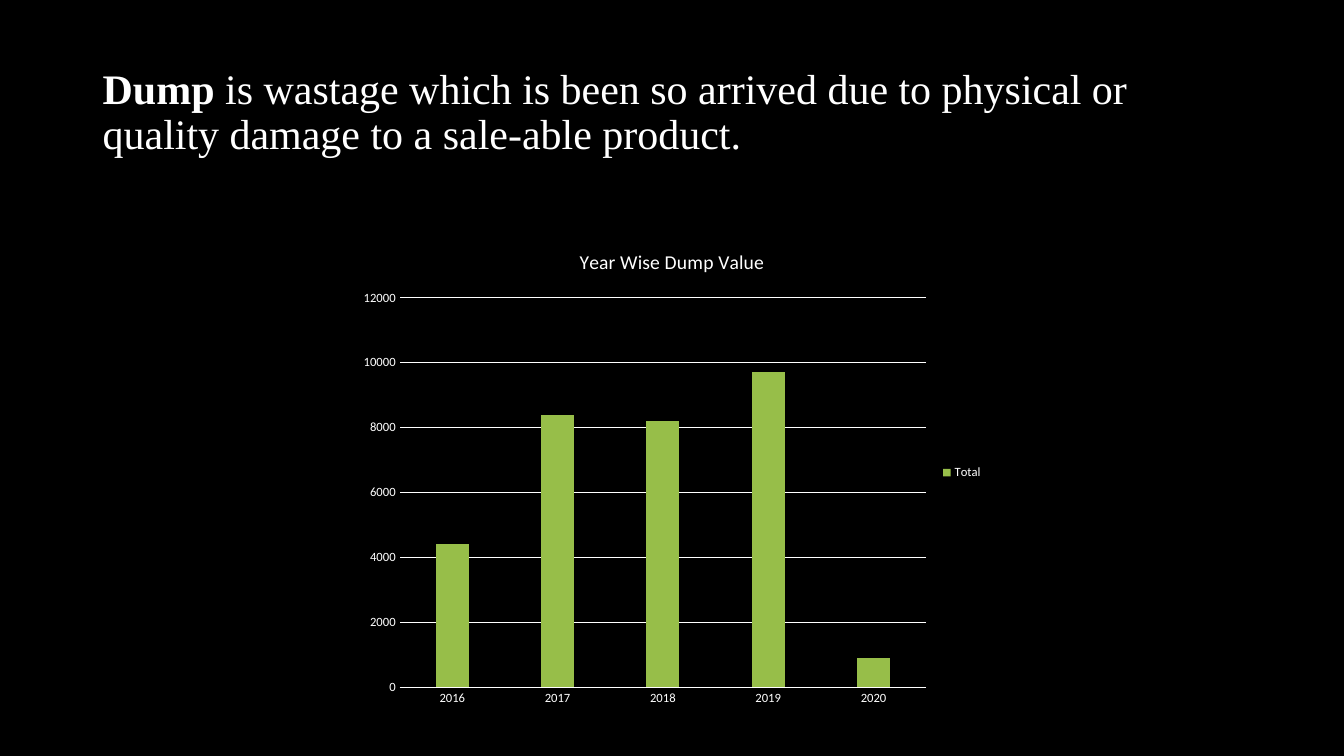
"""Build a slide that defines dump and charts its value by year."""
from pptx import Presentation
from pptx.chart.data import CategoryChartData
from pptx.dml.color import RGBColor
from pptx.enum.chart import XL_CHART_TYPE, XL_LEGEND_POSITION, XL_TICK_MARK
from pptx.enum.text import MSO_ANCHOR
from pptx.util import Inches, Pt

HEADLINE = [
    ("Dump", True),
    (" is wastage which is been so arrived due to physical or quality damage to a sale-able product.", False),
]
CHART_TITLE = "Year Wise Dump Value"
SERIES_NAME = "Total"
DUMP_BY_YEAR = {"2016": 4400, "2017": 8400, "2018": 8200, "2019": 9700, "2020": 900}

HEADLINE_BOX = (0.92, 0.4, 11.5, 1.45)
CHART_BOX = (3.48, 2.28, 6.37, 4.82)

BLACK = RGBColor(0x00, 0x00, 0x00)
WHITE = RGBColor(0xFF, 0xFF, 0xFF)
GREEN = RGBColor(0x97, 0xBE, 0x49)


def style_font(font, size, name="Calibri", bold=False):
    font.size = Pt(size)
    font.name = name
    font.bold = bold
    font.color.rgb = WHITE


def add_span(para, text, **style):
    span = para.add_run()
    span.text = text
    style_font(span.font, **style)


def style_line(line):
    line.color.rgb = WHITE
    line.width = Pt(0.75)


def add_headline(page):
    box = page.shapes.add_textbox(*map(Inches, HEADLINE_BOX))
    frame = box.text_frame
    frame.word_wrap = True
    frame.vertical_anchor = MSO_ANCHOR.MIDDLE
    para = frame.paragraphs[0]
    para.line_spacing = 0.9
    for text, bold in HEADLINE:
        add_span(para, text, size=30, name="Times New Roman", bold=bold)


def add_dump_chart(page):
    data = CategoryChartData()
    data.categories = list(DUMP_BY_YEAR)
    data.add_series(SERIES_NAME, list(DUMP_BY_YEAR.values()))
    chart = page.shapes.add_chart(
        XL_CHART_TYPE.COLUMN_CLUSTERED, *map(Inches, CHART_BOX), data
    ).chart
    style_font(chart.font, 10)

    add_span(chart.chart_title.text_frame.paragraphs[0], CHART_TITLE, size=14)
    chart.chart_title.include_in_layout = False

    chart.has_legend = True
    chart.legend.position = XL_LEGEND_POSITION.RIGHT
    chart.legend.include_in_layout = False
    style_font(chart.legend.font, 9)

    for axis in (chart.category_axis, chart.value_axis):
        axis.major_tick_mark = XL_TICK_MARK.NONE
        axis.minor_tick_mark = XL_TICK_MARK.NONE
        style_font(axis.tick_labels.font, 9)
    style_line(chart.category_axis.format.line)
    chart.value_axis.format.line.fill.background()
    style_line(chart.value_axis.major_gridlines.format.line)
    chart.value_axis.minimum_scale = 0
    chart.value_axis.maximum_scale = 12000
    chart.value_axis.major_unit = 2000

    plot = chart.plots[0]
    plot.vary_by_categories = False
    plot.gap_width = 219
    plot.overlap = -27
    fill = plot.series[0].format.fill
    fill.solid()
    fill.fore_color.rgb = GREEN


def main():
    deck = Presentation()
    deck.slide_width = Inches(13.33)
    deck.slide_height = Inches(7.5)
    page = deck.slides.add_slide(deck.slide_layouts[6])
    page.background.fill.solid()
    page.background.fill.fore_color.rgb = BLACK
    add_headline(page)
    add_dump_chart(page)
    deck.save("out.pptx")


if __name__ == "__main__":
    main()
